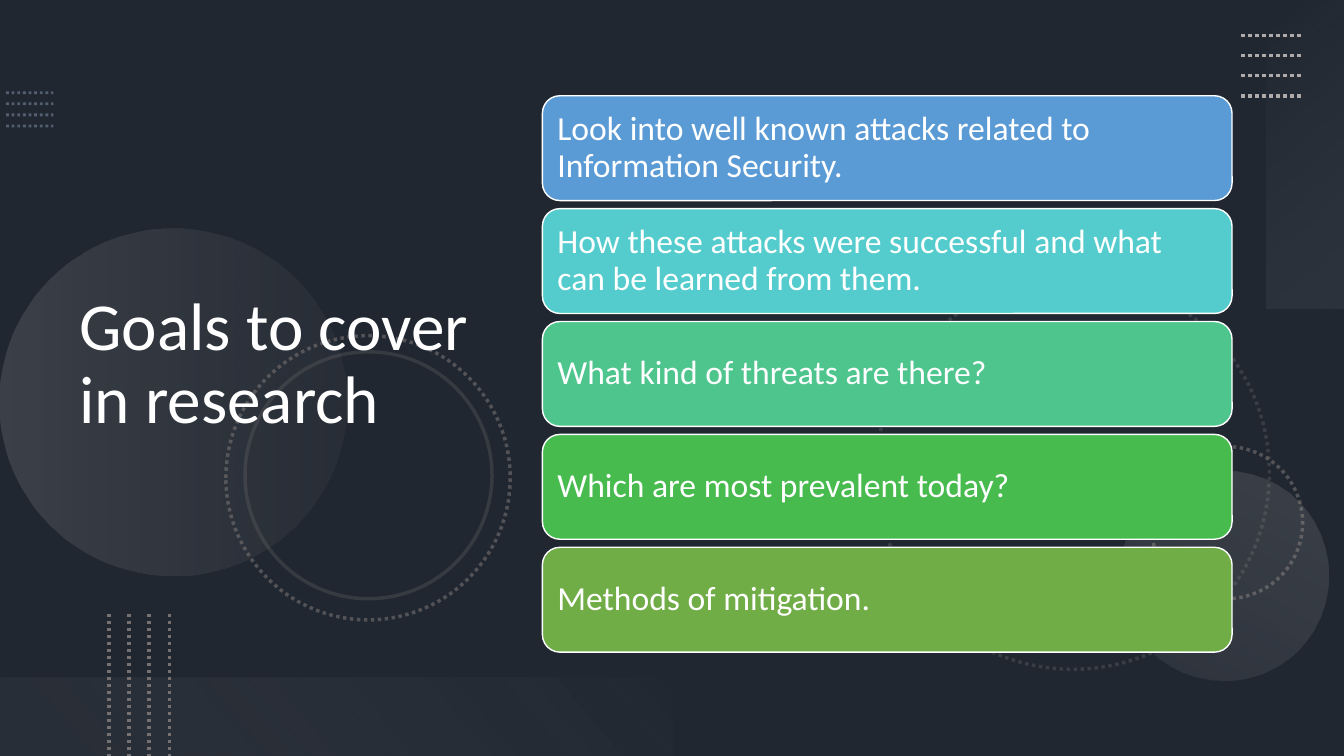
import pptx
import pptx.util
import pptx.dml.color
import pptx.enum.dml
import pptx.enum.shapes
import pptx.enum.text
import pptx.oxml
import pptx.oxml.ns
import lxml.etree

Inches = pptx.util.Inches
Shape = pptx.enum.shapes.MSO_SHAPE
COLORS = {
    "slate": "44546A", "black": "000000", "white": "FFFFFF", "steel": "8497B0",
    "gray": "767171", "silver": "AFABAB", "mist": "F5F5F5", "pearl": "F1F0F0",
    "blue": "5B9BD5", "cyan": "54CCCD", "mint": "4DC58D", "green": "48BB4F", "olive": "70AD47",
}
FONT = "Calibri"
GOALS = [
    ("blue", "Look into well known attacks related to Information Security."),
    ("cyan", "How these attacks were successful and what can be learned from them."),
    ("mint", "What kind of threats are there?"),
    ("green", "Which are most prevalent today?"),
    ("olive", "Methods of mitigation."),
]


def rgb(name):
    """Return the named colour."""
    return pptx.dml.color.RGBColor.from_string(COLORS[name])


def set_opacity(element, percent):
    """Make the first colour under an element partly transparent."""
    color = element.find(".//" + pptx.oxml.ns.qn("a:srgbClr"))
    alpha = lxml.etree.SubElement(color, pptx.oxml.ns.qn("a:alpha"))
    alpha.set("val", str(percent * 1000))


def set_gradient(shape, stops, angle):
    """Fill a shape with a linear gradient of (position, colour, opacity) stops."""
    stop_xml = "".join(
        f'<a:gs pos="{position * 1000}"><a:srgbClr val="{COLORS[color]}">'
        f'<a:alpha val="{opacity * 1000}"/></a:srgbClr></a:gs>'
        for position, color, opacity in stops)
    gradient = pptx.oxml.parse_xml(
        f'<a:gradFill {pptx.oxml.ns.nsdecls("a")} rotWithShape="1"><a:gsLst>{stop_xml}</a:gsLst>'
        f'<a:lin ang="{angle * 60000}" scaled="0"/></a:gradFill>')
    shape.fill.background()
    properties = shape.fill._xPr
    properties.replace(properties.find(pptx.oxml.ns.qn("a:noFill")), gradient)


def set_line(line, color, width, dotted=False, opacity=100):
    """Style an outline or a connector."""
    line.color.rgb = rgb(color)
    line.width = pptx.util.Pt(width)
    if dotted:
        line.dash_style = pptx.enum.dml.MSO_LINE.ROUND_DOT
    if opacity < 100:
        set_opacity(line._get_or_add_ln(), opacity)


def add_plain_shape(page, kind, box, rotation=0):
    """Add a shape without shadow, fill or outline."""
    shape = page.shapes.add_shape(kind, *map(Inches, box))
    shape.shadow.inherit = False
    shape.rotation = rotation
    shape.fill.background()
    shape.line.fill.background()
    return shape


def add_dotted_lines(page, box, count, color, width, vertical=False, opacity=100):
    """Spread parallel dotted lines evenly over a box."""
    left, top, across, down = box
    for index in range(count):
        share = index / (count - 1)
        if vertical:
            x = left + across * share
            ends = (x, top, x, top + down)
        else:
            y = top + down * share
            ends = (left, y, left + across, y)
        line = page.shapes.add_connector(pptx.enum.shapes.MSO_CONNECTOR.STRAIGHT, *map(Inches, ends))
        set_line(line.line, color, width, True, opacity)
        lxml.etree.SubElement(line._element.spPr, pptx.oxml.ns.qn("a:effectLst"))


def add_ring(page, left, top, size, dotted, opacity):
    """Add an unfilled circle with a gray outline."""
    ring = add_plain_shape(page, Shape.OVAL, (left, top, size, size))
    set_line(ring.line, "gray", 2.5, dotted, opacity)


def add_glow(page, kind, box, rotation, stops, angle):
    """Add a shape with a faint gradient."""
    set_gradient(add_plain_shape(page, kind, box, rotation), stops, angle)


def add_backdrop(page, box):
    """Darken the page and scatter the rings, glows and dotted lines over it."""
    page.background.fill.solid()
    page.background.fill.fore_color.rgb = rgb("slate")
    left, top, width, height = box
    right, bottom = left + width, top + height
    shade = add_plain_shape(page, Shape.RECTANGLE, box)
    shade.fill.solid()
    shade.fill.fore_color.rgb = rgb("black")
    set_opacity(shade._element.spPr, 53)

    add_dotted_lines(page, (left + 0.06, top + 0.92, 0.47, 0.33), 4, "steel", 2, opacity=50)
    add_ring(page, right - 4.64, bottom - 4.76, 3.9, True, 30)
    add_ring(page, right - 1.92, bottom - 3.07, 1.51, True, 60)
    add_glow(page, Shape.OVAL, (left, top + 2.27, 3.44, 3.44), 270,
             [(0, "silver", 20), (100, "gray", 10)], 90)
    add_glow(page, Shape.OVAL, (right - 2.23, bottom - 2.83, 2.08, 2.08), 210,
             [(0, "silver", 10), (100, "silver", 20)], 90)
    add_ring(page, left + 2.24, top + 3.33, 2.82, True, 60)
    add_ring(page, left + 2.43, top + 3.49, 2.45, False, 25)
    add_glow(page, Shape.RECTANGLE, (right - 1.91, top + 1.14, 3.06, 0.78), 270,
             [(0, "mist", 0), (100, "silver", 10)], 140)
    add_dotted_lines(page, (right - 1.02, top + 0.35, 0.6, 0.6), 4, "silver", 2.5)
    add_glow(page, Shape.RECTANGLE, (left, bottom - 0.78, width / 2, 0.78), 180,
             [(10, "gray", 10), (100, "pearl", 0)], 140)
    add_dotted_lines(page, (left + 1.08, bottom - 1.41, 0.6, 1.41), 4, "gray", 2.5, vertical=True)


def write_text(shape, text, size, inset):
    """Write white left-aligned text, centred vertically in a shape."""
    frame = shape.text_frame
    frame.word_wrap = True
    frame.vertical_anchor = pptx.enum.text.MSO_ANCHOR.MIDDLE
    frame.margin_left = frame.margin_right = Inches(0.1)
    frame.margin_top = frame.margin_bottom = Inches(inset)
    para = frame.paragraphs[0]
    para.alignment = pptx.enum.text.PP_ALIGN.LEFT
    para.line_spacing = 0.9
    span = para.add_run()
    span.text = text
    span.font.name = FONT
    span.font.size = pptx.util.Pt(size)
    span.font.color.rgb = rgb("white")


def add_title(page, box):
    """Add the slide's title."""
    write_text(page.shapes.add_textbox(*map(Inches, box)), "Goals to cover in research", 48, 0.05)


def add_goals(page, box, gap=0.08):
    """Stack one rounded bar per goal in a box."""
    left, top, width, height = box
    bar_height = (height - gap * (len(GOALS) - 1)) / len(GOALS)
    for index, (color, text) in enumerate(GOALS):
        bar_box = (left, top + index * (bar_height + gap), width, bar_height)
        bar = add_plain_shape(page, Shape.ROUNDED_RECTANGLE, bar_box)
        bar.fill.solid()
        bar.fill.fore_color.rgb = rgb(color)
        set_line(bar.line, "white", 1)
        write_text(bar, text, 24, 0.1)


def main():
    """Build and save the deck."""
    deck = pptx.Presentation()
    deck.slide_width, deck.slide_height = Inches(13.33), Inches(7.5)
    page = deck.slides.add_slide(deck.slide_layouts[6])
    add_backdrop(page, (0, 0, 13.33, 7.5))
    add_title(page, (0.69, 0.54, 4.59, 6.17))
    add_goals(page, (5.38, 0.95, 6.84, 5.52))
    deck.save("out.pptx")


if __name__ == "__main__":
    main()
